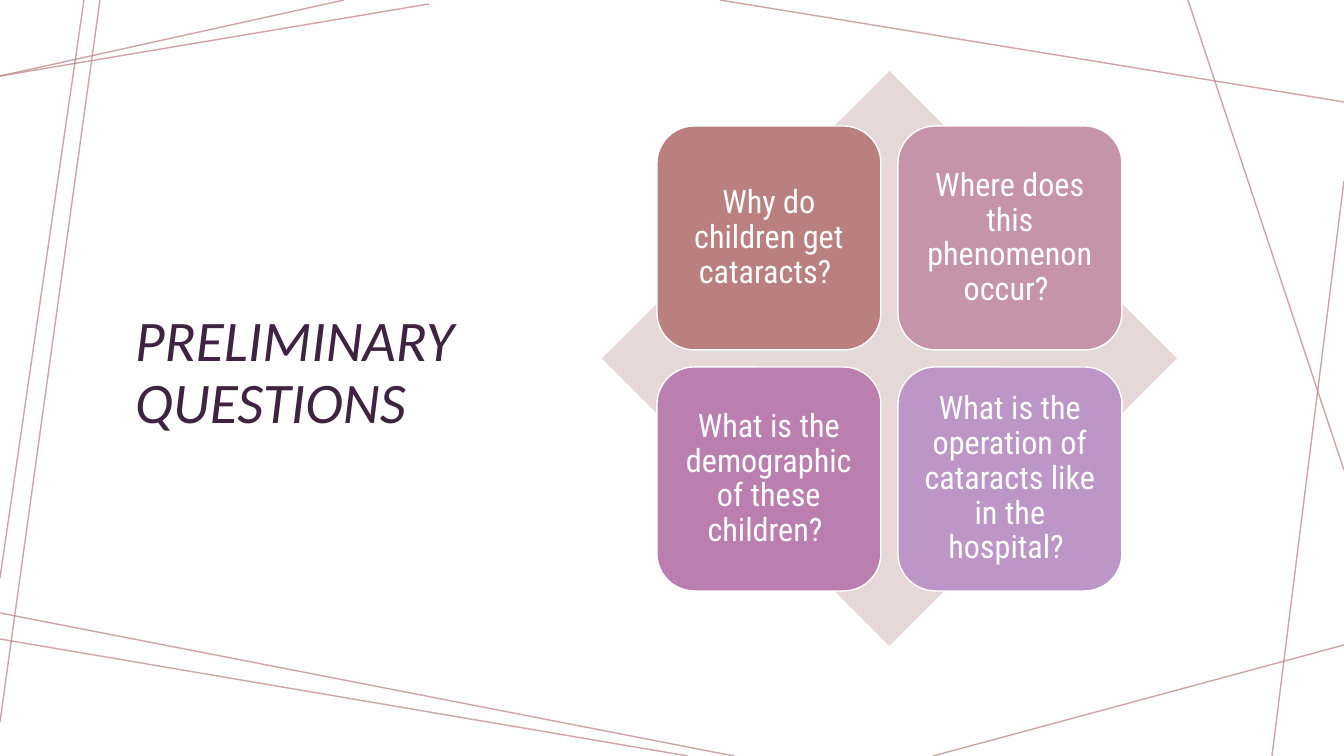
import dataclasses
import pptx
import pptx.dml.color
import pptx.enum.shapes
import pptx.enum.text
import pptx.oxml.xmlchemy
import pptx.util
import lxml.etree
import pptx.oxml.ns

SCALE = 914400 / 100.8
SHAPE = pptx.enum.shapes.MSO_SHAPE
ALIGN = pptx.enum.text.PP_ALIGN


@dataclasses.dataclass(frozen=True)
class Theme:
    ink: str = "3E2441"
    white: str = "FFFFFF"
    rose: str = "BA807F"
    pale: str = "E7D8D8"
    pink: str = "C594A8"
    plum: str = "BA7FAF"
    lilac: str = "BB96C6"
    head: str = "Calibri"
    body: str = "Roboto Condensed"
    big: int = 41
    mid: int = 23


THEME = Theme()

LINES = [
    (344, 0, 0, 76), (100, 0, 0, 722), (688, 756, 0, 639),
    (1344, 645, 933, 756), (1344, 181, 1272, 756),
    (1344, 470, 1188, 0), (1344, 102, 720, 0),
    (429, 4, 0, 76), (0, 578, 84, 0), (0, 613, 734, 756),
]

CARDS = [
    ("Why do children get cataracts? ", THEME.rose),
    ("Where does this phenomenon occur? ", THEME.pink),
    ("What is the demographic of these children? ", THEME.plum),
    ("What is the operation of cataracts like in the hospital? ", THEME.lilac),
]


def px(*nums):
    return [pptx.util.Emu(round(n * SCALE)) for n in nums]


def rgb(code):
    return pptx.dml.color.RGBColor.from_string(code)


def write(shape, text, font, size, color, align=ALIGN.LEFT, slant=False, pad=10):
    frame = shape.text_frame
    frame.word_wrap = True
    frame.auto_size = pptx.enum.text.MSO_AUTO_SIZE.NONE
    frame.vertical_anchor = pptx.enum.text.MSO_ANCHOR.MIDDLE
    (frame.margin_left, frame.margin_top,
     frame.margin_right, frame.margin_bottom) = px(pad, pad, pad, pad)
    para = frame.paragraphs[0]
    para.alignment = align
    para.line_spacing = 0.9
    run = para.add_run()
    run.text = text
    run.font.name = font
    run.font.size = pptx.util.Pt(size)
    run.font.italic = slant
    run.font.color.rgb = rgb(color)


def add_line(slide, ends):
    """Draw a thin line at 70% opacity."""
    line = slide.shapes.add_connector(
        pptx.enum.shapes.MSO_CONNECTOR.STRAIGHT, *px(*ends))
    line.line.width = pptx.util.Pt(1)
    line.line.color.rgb = rgb(THEME.rose)
    tag = pptx.oxml.ns.qn
    props = line._element.spPr
    tint = props.find(".//" + tag("a:srgbClr"))
    lxml.etree.SubElement(tint, tag("a:alpha"), val="70000")
    lxml.etree.SubElement(props, tag("a:effectLst"))


def add_block(slide, kind, box, fill, edge=None):
    shape = slide.shapes.add_shape(kind, *px(*box))
    shape.shadow.inherit = False
    shape.fill.solid()
    shape.fill.fore_color.rgb = rgb(fill)
    if edge:
        shape.line.color.rgb = rgb(edge)
        shape.line.width = pptx.util.Pt(1)
    else:
        shape.line.fill.background()
    return shape


def add_cards(slide, left, top, side, step):
    """Lay the questions out in two columns."""
    for i, (text, fill) in enumerate(CARDS):
        row, col = divmod(i, 2)
        box = (left + col * step, top + row * step, side, side)
        card = add_block(slide, SHAPE.ROUNDED_RECTANGLE, box, fill, THEME.white)
        write(card, text, THEME.body, THEME.mid, THEME.white, align=ALIGN.CENTER)


def set_title(slide, text, box):
    title = slide.shapes.title
    title.left, title.top, title.width, title.height = px(*box)
    write(title, text, THEME.head, THEME.big, THEME.ink, slant=True)


def main():
    deck = pptx.Presentation()
    deck.slide_width, deck.slide_height = px(1344, 756)
    slide = deck.slides.add_slide(deck.slide_layouts.get_by_name("Title Only"))
    for ends in LINES:
        add_line(slide, ends)
    set_title(slide, "PRELIMINARY QUESTIONS", (125, 95, 435, 558))
    add_block(slide, SHAPE.DIAMOND, (602, 71, 575, 575), THEME.pale)
    add_cards(slide, left=657, top=126, side=224, step=241)
    deck.save("out.pptx")


if __name__ == "__main__":
    main()
